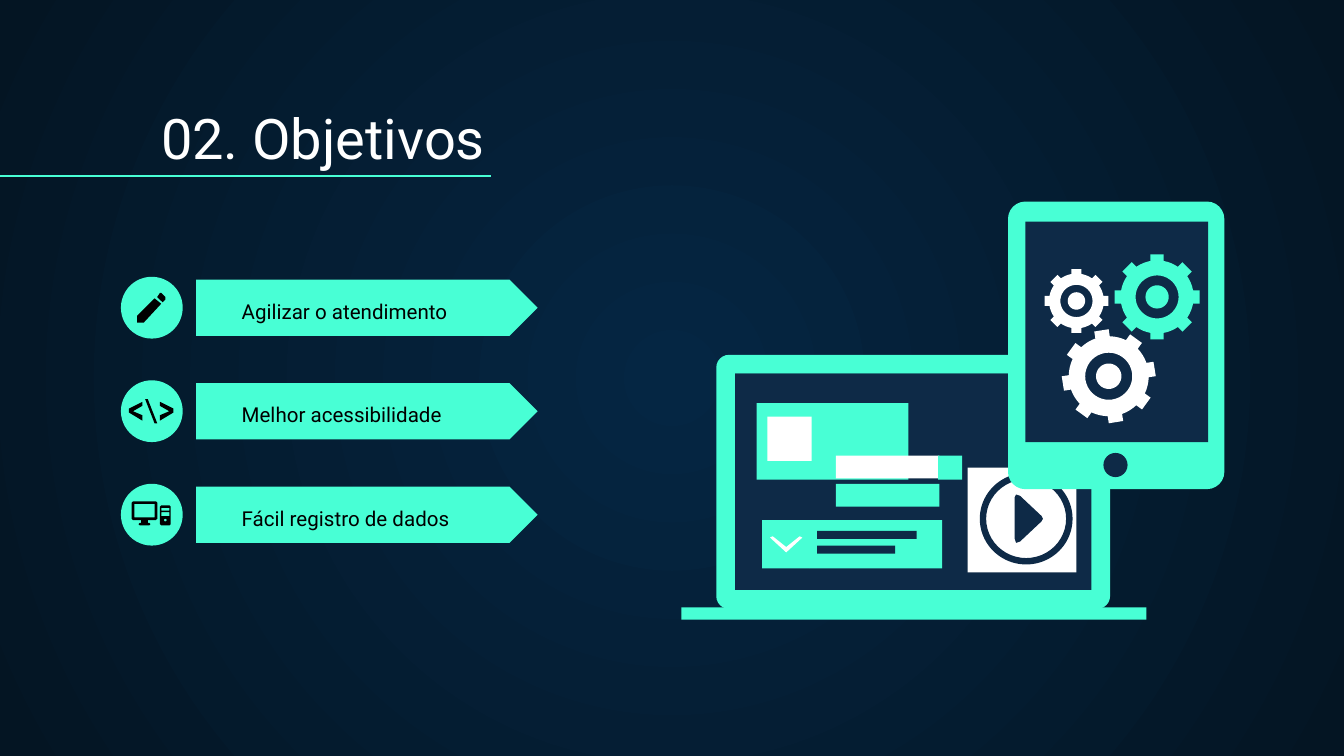
import math
from dataclasses import dataclass
from lxml import etree
from pptx import Presentation, util as u
from pptx.dml import color as c
from pptx.enum import shapes, text
from pptx.oxml import ns

KIND = shapes.MSO_SHAPE
MINT, NAVY, WHITE, BLACK = "48FFD5", "0E2A47", "FFFFFF", "000000"


def rgb(value):
    return c.RGBColor.from_string(value)


def apply(target, formats):
    for name, value in formats.items():
        setattr(target, name, value)


def circle(x, y, radius, parts=40):
    angles = [math.tau * part / parts for part in range(parts)]
    return [(x + radius * math.cos(angle), y + radius * math.sin(angle)) for angle in angles]


def box(left, top, right, bottom, cut=0):
    if not cut:
        return [(left, top), (right, top), (right, bottom), (left, bottom)]
    return [(left + cut, top), (right - cut, top), (right, top + cut), (right, bottom - cut),
            (right - cut, bottom), (left + cut, bottom), (left, bottom - cut), (left, top + cut)]


@dataclass
class Canvas:
    """Draws styled elements on one slide."""

    slide: object
    font: str = "Roboto"

    def background(self, inner, outer):
        fill = self.slide.background.fill
        fill.gradient()
        for stop, value, position in zip(fill.gradient_stops, (inner, outer), (0, 1)):
            stop.position = position
            stop.color.rgb = rgb(value)
        gradient = self.slide.element.find(".//" + ns.qn("a:gradFill"))
        gradient.remove(gradient.find(ns.qn("a:lin")))
        path = etree.SubElement(gradient, ns.qn("a:path"), path="circle")
        etree.SubElement(path, ns.qn("a:fillToRect"), dict.fromkeys("ltrb", "50000"))

    def paint(self, shape, fill):
        shape.shadow.inherit = False
        shape.fill.solid()
        shape.fill.fore_color.rgb = rgb(fill)
        shape.line.fill.background()

    def shape(self, kind, left, top, width, height, fill, adjust=None):
        frame = map(u.Inches, (left, top, width, height))
        shape = self.slide.shapes.add_shape(kind, *frame)
        if adjust is not None:
            shape.adjustments[0] = adjust
        self.paint(shape, fill)

    def rectangle(self, left, top, width, height, fill):
        self.shape(KIND.RECTANGLE, left, top, width, height, fill)

    def disc(self, x, y, radius, fill):
        self.shape(KIND.OVAL, x - radius, y - radius, 2 * radius, 2 * radius, fill)

    def outline(self, fill, *contours):
        contours = [[(u.Inches(x), u.Inches(y)) for x, y in points] for points in contours]
        builder = self.slide.shapes.build_freeform(*contours[0][0])
        for index, points in enumerate(contours):
            if index:
                builder.move_to(*points[0])
            builder.add_line_segments(points[1:], close=True)
        self.paint(builder.convert_to_shape(), fill)

    def gear(self, x, y, radius, fill, turn=0, teeth=8):
        body, half = 0.85 * radius, 0.155 * radius
        base, step = math.asin(half / body), math.tau / teeth
        tip = math.asin(half / radius)
        rim = []
        for tooth in range(teeth):
            middle = tooth * step + math.radians(turn)
            corners = [(body, -base), (radius, -tip), (radius, tip)]
            arc = [(body, base + (step - 2 * base) * part / 4) for part in range(4)]
            rim += [(x + reach * math.sin(middle + angle), y - reach * math.cos(middle + angle))
                    for reach, angle in corners + arc]
        self.outline(fill, rim, circle(x, y, 0.5 * radius), circle(x, y, 0.27 * radius))

    def text(self, content, left, top, width, height, size, color):
        place = map(u.Inches, (left, top, width, height))
        frame = self.slide.shapes.add_textbox(*place).text_frame
        margins = {f"margin_{side}": u.Inches(0.1) for side in ("left", "top", "right", "bottom")}
        apply(frame, {"word_wrap": True, "vertical_anchor": text.MSO_ANCHOR.BOTTOM, **margins})
        run = frame.paragraphs[0].add_run()
        run.text = content
        apply(run.font, {"name": self.font, "size": u.Pt(size)})
        run.font.color.rgb = rgb(color)

    def line(self, start, end, color, width):
        ends = map(u.Inches, (*start, *end))
        line = self.slide.shapes.add_connector(shapes.MSO_CONNECTOR.STRAIGHT, *ends)
        line.line.color.rgb = rgb(color)
        line.line.width = u.Pt(width)
        etree.SubElement(line.element.spPr, ns.qn("a:effectLst"))


def draw_pencil(canvas):
    tip = [(1.19, 2.18), (1.2, 2.18), (1.23, 2.21), (1.23, 2.23), (1.21, 2.25), (1.17, 2.21)]
    body = [(1.15, 2.22), (1.2, 2.26), (1.07, 2.4), (1.02, 2.4), (1.02, 2.35)]
    canvas.outline(BLACK, tip, body)


def draw_code(canvas):
    bracket = [(0.1, 0), (0, 0.05), (0, 0.08), (0.1, 0.14), (0.1, 0.1), (0.03, 0.07), (0.1, 0.03)]
    for tip, direction in ((0.96, 1), (1.29, -1)):
        canvas.outline(BLACK, [(tip + direction * x, 2.99 + y) for x, y in bracket])
    canvas.outline(BLACK, [(1.08, 2.97), (1.1, 2.97), (1.17, 3.15), (1.15, 3.15)])


def draw_computer(canvas):
    canvas.outline(BLACK, box(0.98, 3.73, 1.17, 3.87, 0.01), box(1, 3.75, 1.15, 3.85),
                   box(1.05, 3.87, 1.1, 3.89), box(1.03, 3.89, 1.12, 3.91, 0.01))
    canvas.outline(BLACK, box(1.19, 3.76, 1.27, 3.91, 0.01), box(1.2, 3.78, 1.26, 3.8),
                   box(1.2, 3.81, 1.26, 3.84), circle(1.23, 3.87, 0.01))


def draw_objectives(canvas):
    objectives = ("Agilizar o atendimento", "Melhor acessibilidade", "Fácil registro de dados")
    icons = (draw_pencil, draw_code, draw_computer)
    for row, (objective, draw_icon) in enumerate(zip(objectives, icons)):
        top = 2.06 + 0.77 * row
        canvas.shape(KIND.PENTAGON, 1.46, top + 0.02, 2.54, 0.42, MINT, 0.5)
        canvas.text(objective, 1.7, top + 0.23, 2.27, 0.21, 11, BLACK)
        canvas.disc(1.13, top + 0.23, 0.23, MINT)
        draw_icon(canvas)


def draw_laptop(canvas):
    canvas.shape(KIND.ROUNDED_RECTANGLE, 5.33, 2.64, 2.93, 1.89, MINT, 0.05)
    blocks = (
        (5.47, 2.78, 2.65, 1.61, NAVY), (5.07, 4.52, 3.46, 0.09, MINT),
        (5.47, 2.78, 2.65, 0.15, NAVY), (5.63, 3, 1.13, 0.57, MINT),
        (5.71, 3.1, 0.33, 0.33, WHITE), (6.02, 3.87, 0.99, 0.36, MINT),
        (6.08, 3.95, 0.74, 0.06, NAVY), (6.08, 4.06, 0.58, 0.06, NAVY),
        (5.67, 3.87, 0.35, 0.36, MINT), (6.22, 3.6, 0.77, 0.17, MINT),
        (6.22, 3.39, 0.77, 0.17, WHITE), (6.98, 3.39, 0.18, 0.18, MINT),
        (7.2, 3.48, 0.81, 0.78, WHITE),
    )
    for block in blocks:
        canvas.rectangle(*block)
    canvas.outline(WHITE, [(5.75, 3.99), (5.85, 4.07), (5.95, 3.99), (5.97, 4),
                           (5.85, 4.11), (5.73, 4)])
    canvas.shape(KIND.DONUT, 7.29, 3.52, 0.69, 0.68, NAVY, 0.07)
    canvas.outline(NAVY, [(7.55, 3.7), (7.56, 3.68), (7.59, 3.69), (7.75, 3.84), (7.76, 3.86),
                          (7.75, 3.88), (7.59, 4.03), (7.56, 4.04), (7.55, 4.01)])


def draw_tablet(canvas):
    canvas.shape(KIND.ROUNDED_RECTANGLE, 7.5, 1.5, 1.61, 2.14, MINT, 0.08)
    canvas.rectangle(7.63, 1.65, 1.36, 1.64, NAVY)
    canvas.disc(8.3, 3.46, 0.09, NAVY)
    canvas.gear(8.61, 2.21, 0.32, MINT)
    canvas.gear(8.01, 2.24, 0.24, WHITE)
    canvas.gear(8.25, 2.8, 0.35, WHITE, turn=-9)


def main():
    presentation = Presentation()
    width = u.Inches(10)
    apply(presentation, {"slide_width": width, "slide_height": width * 9 // 16})
    canvas = Canvas(presentation.slides.add_slide(presentation.slide_layouts[6]))
    canvas.background("052643", "041523")
    canvas.text("02. Objetivos", 1.1, 0.71, 8.57, 0.66, 30, WHITE)
    canvas.line((0, 1.31), (3.65, 1.31), MINT, 0.75)
    draw_objectives(canvas)
    draw_laptop(canvas)
    draw_tablet(canvas)
    presentation.save("out.pptx")


if __name__ == "__main__":
    main()
